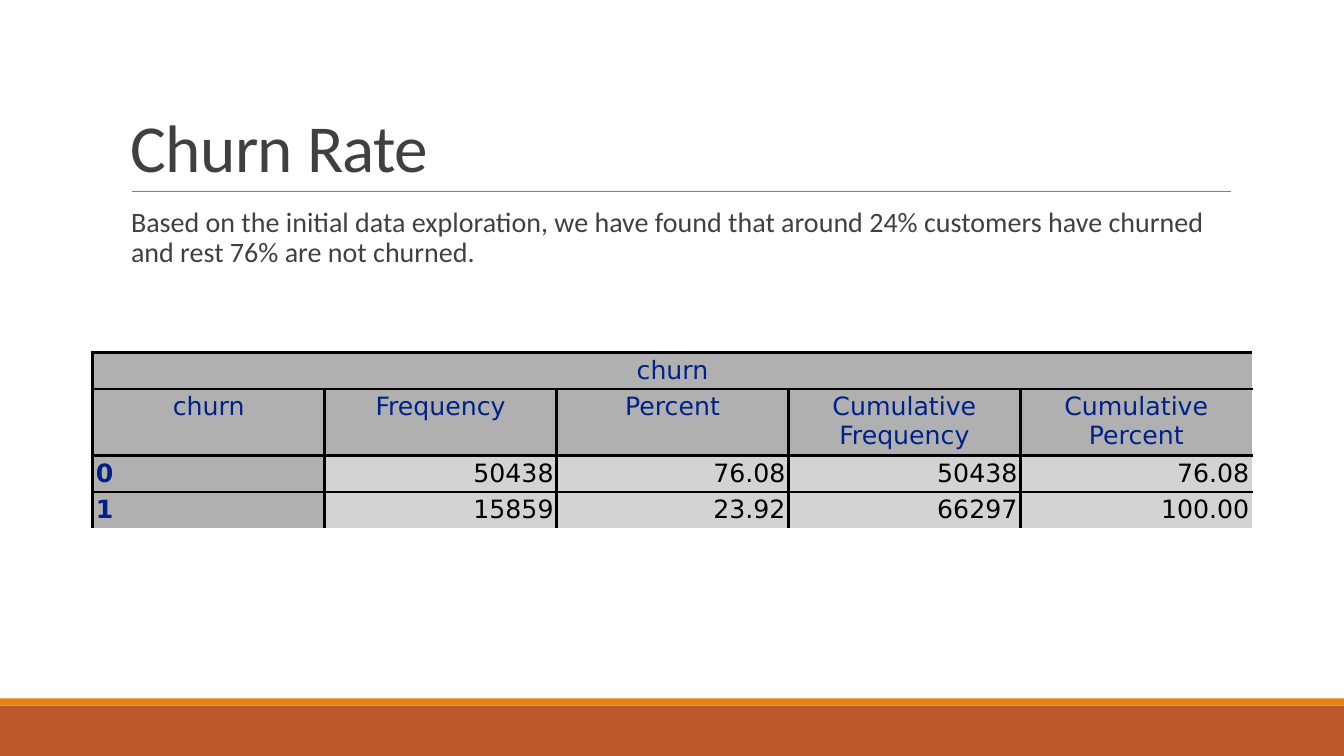
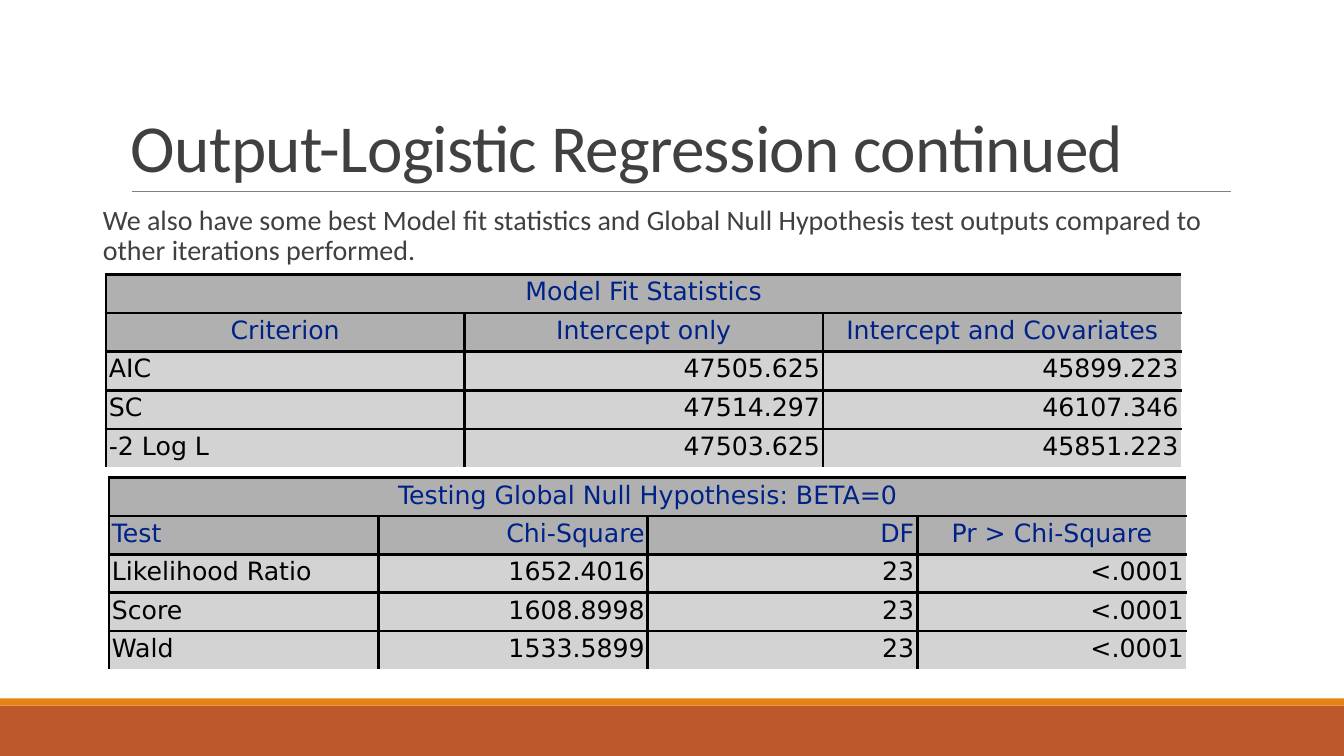
from lxml import etree
from pptx import Presentation
from pptx import util as u
from pptx.dml.color import RGBColor
from pptx.enum import shapes, text
from pptx.oxml.ns import qn

# Shared look
SLIDE_WIDTH, SLIDE_HEIGHT = 13.33, 7.5
RUST, ORANGE, RULE_GREY, TEXT_GREY = "BD582C", "E48312", "808080", "404040"
BLACK, WHITE, NAVY = "000000", "FFFFFF", "002288"
HEADER_FILL, BODY_FILL = "B0B0B0", "D3D3D3"
TEXT_FONT, TABLE_FONT = "Calibri", "DejaVu Sans"
CELL_MARGIN = 0.03
ALIGNMENTS = {
    "l": text.PP_ALIGN.LEFT,
    "c": text.PP_ALIGN.CENTER,
    "r": text.PP_ALIGN.RIGHT,
}


def color(value):
    return RGBColor.from_string(value)


def write(frame, words, *, size, font=TEXT_FONT, fill=TEXT_GREY, bold=False,
          align="l", line_spacing=None, before=None, after=None, tracking=None):
    """Put one formatted paragraph into a text frame."""
    paragraph = frame.paragraphs[0]
    paragraph.alignment = ALIGNMENTS[align]
    paragraph.line_spacing = line_spacing
    if before is not None:
        paragraph.space_before = u.Pt(before)
    if after is not None:
        paragraph.space_after = u.Pt(after)
    run = paragraph.add_run()
    run.text = words
    run.font.name, run.font.size, run.font.bold = font, u.Pt(size), bold
    run.font.color.rgb = color(fill)
    if tracking is not None:
        run.font._element.set("spc", str(round(tracking * 100)))


def add_band(slide, top, height, fill):
    shape = slide.shapes.add_shape(
        shapes.MSO_SHAPE.RECTANGLE, 0, u.Inches(top),
        u.Inches(SLIDE_WIDTH), u.Inches(height))
    shape.shadow.inherit = False
    shape.fill.solid()
    shape.fill.fore_color.rgb = color(fill)
    shape.line.fill.background()


def add_rule(slide, left, right, top):
    line = slide.shapes.add_connector(
        shapes.MSO_CONNECTOR.STRAIGHT, u.Inches(left), u.Inches(top),
        u.Inches(right), u.Inches(top))
    line.line.color.rgb = color(RULE_GREY)
    line.line.width = u.Pt(0.5)
    etree.SubElement(line._element.spPr, qn("a:effectLst"))


def add_text_box(slide, left, top, width, height, words, *, inset=0.1,
                 anchor=text.MSO_ANCHOR.TOP, **style):
    box = slide.shapes.add_textbox(*map(u.Inches, (left, top, width, height)))
    frame = box.text_frame
    frame.word_wrap = True
    frame.vertical_anchor = anchor
    frame.margin_left = u.Inches(inset)
    frame.margin_right = u.Inches(0 if inset != 0.1 else inset)
    write(frame, words, **style)
    return box


def add_body(slide, left, top, width, height, words):
    box = add_text_box(slide, left, top, width, height, words, inset=0, size=20,
                       line_spacing=0.9, before=12, after=2)
    properties = box.text_frame.paragraphs[0]._p.get_or_add_pPr()
    properties.set("marL", str(u.Inches(0.1)))


def add_titled_slide(presentation, title):
    """Start a slide with the bands, the rule and the title."""
    slide = presentation.slides.add_slide(presentation.slide_layouts[6])
    add_band(slide, 7, 0.5, RUST)
    add_band(slide, 6.93, 0.07, ORANGE)
    add_rule(slide, 1.31, 12.21, 1.9)
    add_text_box(slide, 1.2, 0.31, 11, 1.59, title,
                 anchor=text.MSO_ANCHOR.BOTTOM, size=48, line_spacing=0.85,
                 tracking=-0.5)
    return slide


# Tables
def set_border(cell, side, fill, width):
    line = etree.SubElement(cell._tc.get_or_add_tcPr(), qn(f"a:ln{side}"),
                            w=str(u.Pt(width)))
    solid = etree.SubElement(line, qn("a:solidFill"))
    etree.SubElement(solid, qn("a:srgbClr"), val=fill)


def style_cell(cell, fill, open_sides):
    """Black borders, with thin white ones on the open sides."""
    for side in "TB" if cell.is_spanned else "LRTB":
        if side in open_sides:
            set_border(cell, side, WHITE, 1.13)
        else:
            set_border(cell, side, BLACK, 2.25)
    cell.fill.solid()
    cell.fill.fore_color.rgb = color(fill)
    cell.margin_left = cell.margin_right = u.Inches(CELL_MARGIN)
    cell.margin_top = cell.margin_bottom = u.Inches(CELL_MARGIN)


def add_statistics_table(slide, left, top, width, heights, caption, header,
                         records, *, header_align, row_labels=False):
    """Caption row, header row, then records; row_labels marks column one."""
    rows = [[caption] + [""] * (len(header) - 1), header, *records]
    last_row, last_column = len(rows) - 1, len(header) - 1
    table = slide.shapes.add_table(
        len(rows), len(header), u.Inches(left), u.Inches(top),
        u.Inches(width), u.Inches(sum(heights))).table
    table.first_row = table.horz_banding = False
    for column in table.columns:
        column.width = u.Inches(width / len(header))
    for row, height in zip(table.rows, heights):
        row.height = u.Inches(height)
    table.cell(0, 0).merge(table.cell(0, last_column))

    for i, values in enumerate(rows):
        for j, value in enumerate(values):
            cell = table.cell(i, j)
            label = row_labels and i > 1 and j == 0
            heading = i < 2 or label
            open_sides = ("R" if i == 0 or j == last_column else "") + (
                "B" if i == last_row else "")
            style_cell(cell, HEADER_FILL if heading else BODY_FILL, open_sides)
            if cell.is_spanned:
                continue
            if i == 0:
                align = "c"
            elif i == 1:
                align = header_align[j]
            else:
                align = "l" if j == 0 else "r"
            write(cell.text_frame, value, size=18, font=TABLE_FONT, align=align,
                  fill=NAVY if heading else BLACK, bold=label)


# Slides
def add_churn_rate(presentation):
    slide = add_titled_slide(presentation, "Churn Rate")
    add_body(slide, 1.2, 2.02, 11, 4.4,
             "Based on the initial data exploration, we have found that around "
             "24% customers have churned and rest 76% are not churned.")
    add_statistics_table(
        slide, 0.92, 3.5, 11.5, [0.35, 0.65, 0.35, 0.35], "churn",
        ["churn", "Frequency", "Percent", "Cumulative Frequency",
         "Cumulative Percent"],
        [["0", "50438", "76.08", "50438", "76.08"],
         ["1", "15859", "23.92", "66297", "100.00"]],
        header_align="ccccc", row_labels=True)


def add_logistic_regression(presentation):
    slide = add_titled_slide(presentation, "Output-Logistic Regression continued")
    add_body(slide, 0.92, 2, 11.5, 5.04,
             "We also have some best Model fit statistics and Global Null "
             "Hypothesis test outputs compared to other iterations performed.")
    add_statistics_table(
        slide, 1.05, 2.72, 10.67, [1.92 / 5] * 5, "Model Fit Statistics",
        ["Criterion", "Intercept only", "Intercept and Covariates"],
        [["AIC", "47505.625", "45899.223"],
         ["SC", "47514.297", "46107.346"],
         ["-2 Log L", "47503.625", "45851.223"]],
        header_align="ccc")
    add_statistics_table(
        slide, 1.08, 4.74, 10.69, [1.9 / 5] * 5,
        "Testing Global Null Hypothesis: BETA=0",
        ["Test", "Chi-Square", "DF", "Pr > Chi-Square"],
        [["Likelihood Ratio", "1652.4016", "23", "<.0001"],
         ["Score", "1608.8998", "23", "<.0001"],
         ["Wald", "1533.5899", "23", "<.0001"]],
        header_align="lrrc")


def main():
    presentation = Presentation()
    presentation.slide_width = u.Inches(SLIDE_WIDTH)
    presentation.slide_height = u.Inches(SLIDE_HEIGHT)
    add_churn_rate(presentation)
    add_logistic_regression(presentation)
    presentation.save("out.pptx")


if __name__ == "__main__":
    main()
